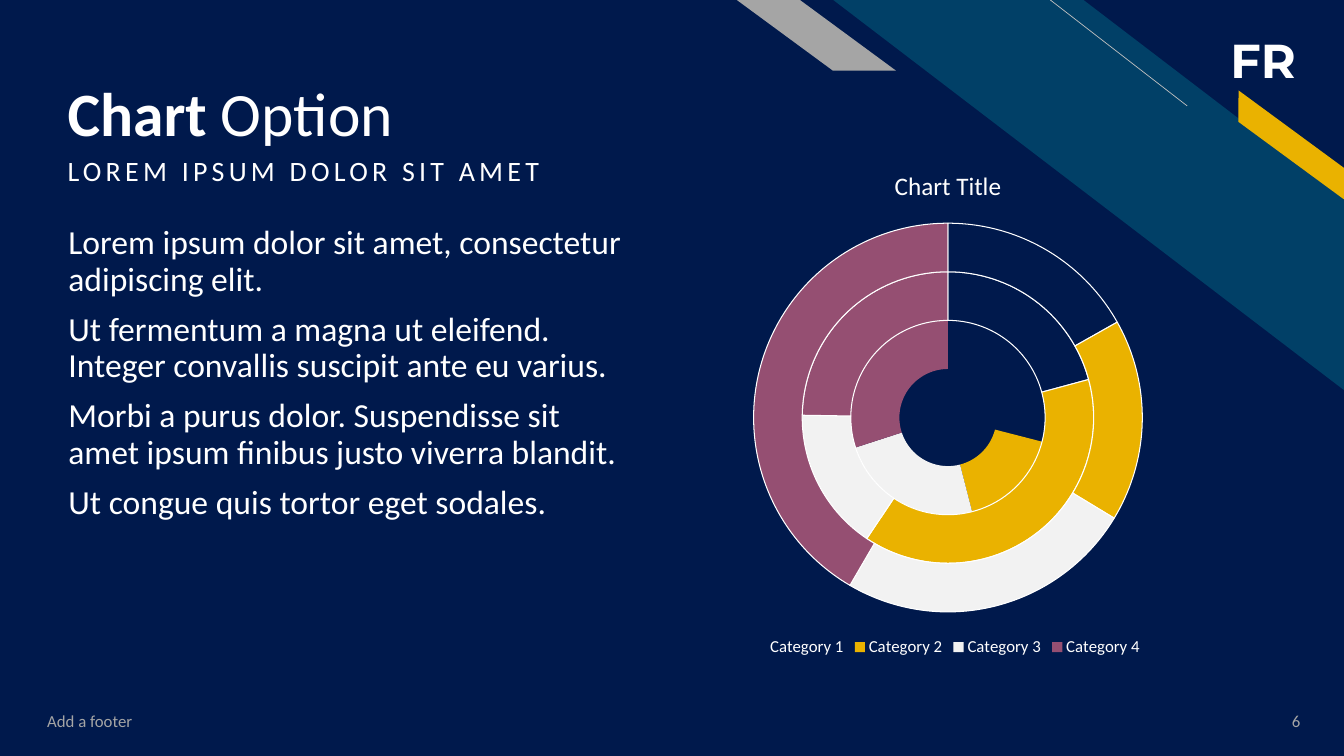
import dataclasses

import pptx
import pptx.chart.data
import pptx.dml.color
import pptx.enum.chart
import pptx.enum.shapes
import pptx.enum.text
import pptx.oxml
import pptx.oxml.ns
import pptx.util

Cm = pptx.util.Cm
Pt = pptx.util.Pt
SHAPES = pptx.enum.shapes.MSO_SHAPE
ANCHOR = pptx.enum.text.MSO_ANCHOR
ALIGN = pptx.enum.text.PP_ALIGN


@dataclasses.dataclass(frozen=True)
class Theme:
    navy: str = "00194C"
    teal: str = "014067"
    gold: str = "EAB200"
    grey: str = "A5A5A5"
    silver: str = "BFBFBF"
    pale: str = "F2F2F2"
    plum: str = "954F72"
    white: str = "FFFFFF"
    font: str = "Calibri"
    initials_font: str = "Montserrat"
    title_size: int = 44
    initials_size: int = 34
    body_size: int = 24
    subtitle_size: int = 20
    chart_title_size: int = 18
    small_size: int = 12


THEME = Theme()

BODY_TEXT = (
    "Lorem ipsum dolor sit amet, consectetur adipiscing elit.",
    "Ut fermentum a magna ut eleifend. Integer convallis suscipit ante eu varius.",
    "Morbi a purus dolor. Suspendisse sit amet ipsum finibus justo viverra blandit.",
    "Ut congue quis tortor eget sodales.",
)
CATEGORIES = ("Category 1", "Category 2", "Category 3", "Category 4")
RINGS = {
    "Series 1": (29, 17, 24, 30),
    "Series 2": (21, 39, 16, 25),
    "Series 3": (17, 17, 25, 42),
}


def rgb(colour):
    return pptx.dml.color.RGBColor.from_string(colour)


def style_font(font, size, colour, name=THEME.font, bold=False):
    font.name = name
    font.size = Pt(size)
    font.bold = bold
    font.color.rgb = rgb(colour)


def write(para, text, *, size, colour=THEME.white, name=THEME.font,
          bold=False, spacing=0):
    """Add one formatted span; spacing is letter spacing in points."""
    span = para.add_run()
    span.text = text
    style_font(span.font, size, colour, name, bold)
    if spacing:
        span.font._element.set("spc", str(spacing * 100))


def place(box, left, top, width, height):
    box.left, box.top = Cm(left), Cm(top)
    box.width, box.height = Cm(width), Cm(height)


def prepare_frame(box, anchor, wrap=True):
    frame = box.text_frame
    frame.word_wrap = wrap
    frame.auto_size = pptx.enum.text.MSO_AUTO_SIZE.NONE
    frame.vertical_anchor = anchor
    return frame


def add_label(page, area, text, *, anchor=ANCHOR.MIDDLE, align=ALIGN.LEFT,
              wrap=True, **style):
    box = page.shapes.add_textbox(*map(Cm, area))
    para = prepare_frame(box, anchor, wrap).paragraphs[0]
    para.alignment = align
    write(para, text, **style)


def add_band(page, kind, area, colour, slant, rotation=0):
    """Add a slanted band, mirrored so that it falls to the right."""
    band = page.shapes.add_shape(kind, *map(Cm, area))
    band.adjustments[0] = slant
    band.rotation = rotation
    band.shadow.inherit = False
    band.fill.solid()
    band.fill.fore_color.rgb = rgb(colour)
    band.line.fill.background()
    band._element.spPr.find(pptx.oxml.ns.qn("a:xfrm")).set("flipH", "1")


def add_thin_line(page, start, end, colour):
    line = page.shapes.add_connector(
        pptx.enum.shapes.MSO_CONNECTOR.STRAIGHT, *map(Cm, start + end))
    line.line.color.rgb = rgb(colour)
    line.line.width = Pt(0.5)
    line._element.spPr.append(pptx.oxml.parse_xml(
        "<a:effectLst %s/>" % pptx.oxml.ns.nsdecls("a")))


def fill_title(title):
    place(title, 1.45, 0.58, 23.14, 3.2)
    frame = prepare_frame(title, ANCHOR.BOTTOM)
    frame.margin_bottom = 0
    para = frame.paragraphs[0]
    para.alignment = ALIGN.LEFT
    para.line_spacing = 0.9
    write(para, "Chart ", size=THEME.title_size, bold=True)
    write(para, "Option", size=THEME.title_size)


def fill_body(body, area, texts, **style):
    """Fill a body placeholder with paragraphs that have no bullets."""
    place(body, *area)
    frame = prepare_frame(body, ANCHOR.TOP)
    for index, text in enumerate(texts):
        para = frame.add_paragraph() if index else frame.paragraphs[0]
        para.line_spacing = 0.9
        para.space_before = Pt(10)
        settings = para._p.get_or_add_pPr()
        settings.set("marL", "0")
        settings.set("indent", "0")
        settings.append(pptx.oxml.parse_xml(
            "<a:buNone %s/>" % pptx.oxml.ns.nsdecls("a")))
        write(para, text, **style)


def add_rings(page, area):
    data = pptx.chart.data.CategoryChartData()
    data.categories = CATEGORIES
    for name, values in RINGS.items():
        data.add_series(name, values)
    chart = page.shapes.add_chart(
        pptx.enum.chart.XL_CHART_TYPE.DOUGHNUT, *map(Cm, area), data).chart
    style_font(chart.font, THEME.small_size, THEME.white)

    # Title and legend
    chart.has_title = True
    write(chart.chart_title.text_frame.paragraphs[0], "Chart Title",
          size=THEME.chart_title_size)
    chart.has_legend = True
    chart.legend.position = pptx.enum.chart.XL_LEGEND_POSITION.BOTTOM
    chart.legend.include_in_layout = False
    style_font(chart.legend.font, THEME.small_size, THEME.white)

    # Slices: the inner ring has no outline
    slice_colours = (THEME.navy, THEME.gold, THEME.pale, THEME.plum)
    for ring_index, ring in enumerate(chart.plots[0].series):
        for index, colour in enumerate(slice_colours):
            look = ring.points[index].format
            look.fill.solid()
            look.fill.fore_color.rgb = rgb(colour)
            if ring_index:
                look.line.color.rgb = rgb(THEME.white)
                look.line.width = Pt(0.75)
            else:
                look.line.fill.background()


def main():
    deck = pptx.Presentation()
    deck.slide_width, deck.slide_height = Cm(33.87), Cm(19.05)
    page = deck.slides.add_slide(deck.slide_layouts.get_by_name("Two Content"))
    page.background.fill.solid()
    page.background.fill.fore_color.rgb = rgb(THEME.navy)

    # Corner decoration
    add_band(page, SHAPES.DIAGONAL_STRIPE, (21, 0, 12.87, 9.83), THEME.teal, 0.51)
    add_thin_line(page, (26.47, 0), (29.92, 2.67), THEME.silver)
    add_band(page, SHAPES.PARALLELOGRAM, (30.66, 3.33, 3.76, 0.64),
             THEME.gold, 0.72, rotation=36.3)
    add_band(page, SHAPES.PARALLELOGRAM, (18.57, 0, 4.01, 1.78), THEME.grey, 1.36)
    add_label(page, (30.76, 0.66, 2.26, 1.7), "FR", anchor=ANCHOR.TOP, wrap=False,
              size=THEME.initials_size, name=THEME.initials_font, bold=True)

    # Title, subtitle and text
    title, subtitle, body = page.placeholders
    fill_title(title)
    fill_body(subtitle, (1.45, 3.84, 20.47, 1.7), ["LOREM IPSUM DOLOR SIT AMET"],
              size=THEME.subtitle_size, spacing=3)
    fill_body(body, (1.47, 5.56, 14.5, 11.35), BODY_TEXT, size=THEME.body_size)

    # Chart
    add_rings(page, (14.02, 3.73, 19.74, 12.93))

    # Footer
    small = {"size": THEME.small_size, "colour": THEME.grey}
    add_label(page, (0.94, 17.65, 11.43, 1.02), "Add a footer", **small)
    add_label(page, (30.96, 17.65, 2.06, 1.02), "6", align=ALIGN.RIGHT, **small)

    deck.save("out.pptx")


if __name__ == "__main__":
    main()
